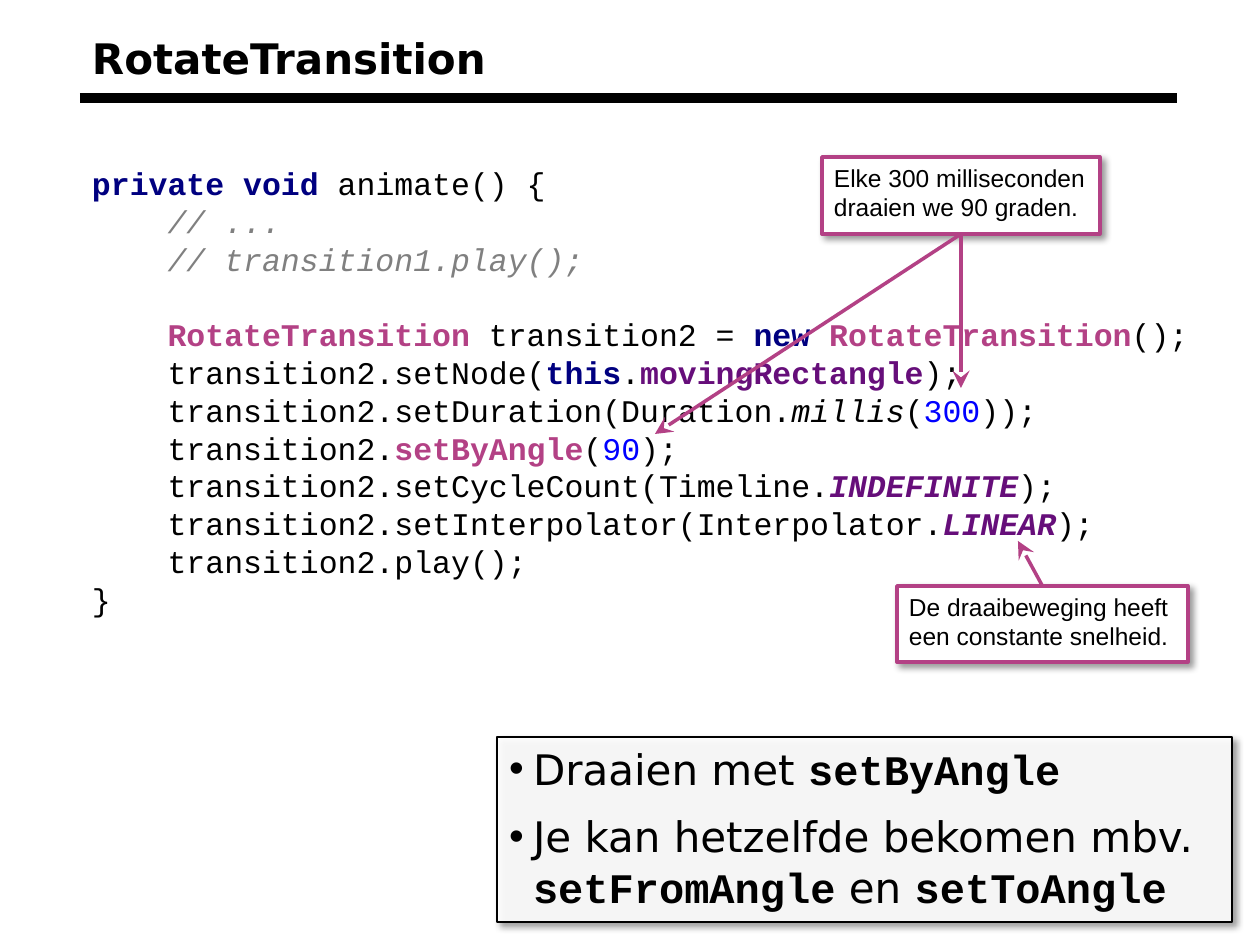
from dataclasses import dataclass

from lxml import etree
from pptx import Presentation
from pptx.dml.color import RGBColor
from pptx.enum.shapes import MSO_CONNECTOR, MSO_SHAPE
from pptx.enum.text import MSO_ANCHOR, PP_ALIGN
from pptx.oxml.ns import qn
from pptx.util import Emu, Pt

RECT, LINE = MSO_SHAPE.RECTANGLE, MSO_CONNECTOR.STRAIGHT
TOP, MIDDLE = MSO_ANCHOR.TOP, MSO_ANCHOR.MIDDLE
LEFT = PP_ALIGN.LEFT

PX = 914400 / 126
MONO, SANS, NOTE = "Courier New", "DejaVu Sans", "Arial"
BLACK, WHITE, PINK = "000000", "FFFFFF", "B34185"
NAVY, GRAY, PURPLE, BLUE = "000080", "808080", "660E7A", "0000FF"


@dataclass(frozen=True)
class Look:
    size: int
    face: str
    color: str = BLACK
    bold: bool = False
    slant: bool = False


@dataclass(frozen=True)
class Box:
    left: int
    top: int
    width: int
    height: int


@dataclass(frozen=True)
class Callout:
    box: Box
    text: str
    site: int
    tips: tuple[tuple[int, int], ...]


PLAIN = Look(18, MONO)
WORD = Look(18, MONO, NAVY, bold=True)
REM = Look(18, MONO, GRAY, slant=True)
KEY = Look(18, MONO, PINK, bold=True)
FIELD = Look(18, MONO, PURPLE, bold=True)
CONST = Look(18, MONO, PURPLE, bold=True, slant=True)
NUM = Look(18, MONO, BLUE)
CALL = Look(18, MONO, slant=True)
TITLE = Look(24, SANS, bold=True)
BODY = Look(24, SANS)
NAME = Look(24, MONO, bold=True)
SMALL = Look(14, NOTE)

CODE = [
    [("private void ", WORD), ("animate() {\n    ", PLAIN), ("// ...", REM)],
    [
        ("    ", PLAIN), ("// transition1.play();\n\n    ", REM),
        ("RotateTransition", KEY), (" transition2 = ", PLAIN), ("new ", WORD),
        ("RotateTransition", KEY), ("();\n    transition2.setNode(", PLAIN),
        ("this", WORD), (".", PLAIN), ("movingRectangle", FIELD),
        (");\n    transition2.setDuration(Duration.", PLAIN),
        ("millis", CALL), ("(", PLAIN), ("300", NUM),
        ("));\n    transition2.", PLAIN), ("setByAngle", KEY),
        ("(", PLAIN), ("90", NUM),
        (");\n    transition2.setCycleCount(Timeline.", PLAIN),
        ("INDEFINITE", CONST),
        (");\n    transition2.setInterpolator(Interpolator.", PLAIN),
        ("LINEAR", CONST), (");\n    transition2.play();\n}", PLAIN),
    ],
]
POINTS = [
    [("Draaien met ", BODY), ("setByAngle", NAME)],
    [("Je kan hetzelfde bekomen mbv. ", BODY), ("setFromAngle", NAME),
     (" en ", BODY), ("setToAngle", NAME)],
]
CALLOUTS = [
    Callout(Box(822, 157, 278, 77), "Elke 300 milliseconden draaien we 90 graden.",
            2, ((655, 434), (961, 388))),
    Callout(Box(897, 586, 291, 76), "De draaibeweging heeft een constante snelheid.",
            0, ((1018, 541),)),
]


def px(*sizes: int) -> list[Emu]:
    return [Emu(round(size * PX)) for size in sizes]


def rgb(color: str) -> RGBColor:
    return RGBColor.from_string(color)


def add(parent, tag: str, **attrs):
    return etree.SubElement(parent, qn(tag), attrs)


def add_runs(para, runs) -> None:
    """Write the runs of one paragraph, with a line break for each newline."""
    for text, look in runs:
        for i, part in enumerate(text.split("\n")):
            if i:
                para.add_line_break()
            if part:
                run = para.add_run()
                run.text = part
                font = run.font
                font.size, font.name = Pt(look.size), look.face
                font.bold, font.italic = look.bold, look.slant
                font.color.rgb = rgb(look.color)


def set_text(shape, paras, *, wrap=True, anchor=TOP, bullet=False, gap=0) -> None:
    frame = shape.text_frame
    frame.word_wrap, frame.vertical_anchor = wrap, anchor
    frame.margin_left, frame.margin_right = px(12, 12)
    frame.margin_top, frame.margin_bottom = px(6, 6)
    for i, runs in enumerate(paras):
        para = frame.add_paragraph() if i else frame.paragraphs[0]
        para.alignment = LEFT
        if i and gap:
            para.space_before = Pt(gap)
        if bullet:
            props = para._p.get_or_add_pPr()
            hang = px(24)[0]
            props.set("marL", str(hang))
            props.set("indent", str(-hang))
            add(add(props, "a:buClr"), "a:srgbClr", val=BLACK)
            add(props, "a:buFont", typeface=NOTE)
            add(props, "a:buChar", char="•")
        add_runs(para, runs)


def add_text(slide, box: Box, paras, **form) -> None:
    shape = slide.shapes.add_textbox(*px(box.left, box.top, box.width, box.height))
    set_text(shape, paras, **form)


def add_panel(slide, box: Box, edge: str, weight: float, alpha: int = 100):
    """Draw a white outlined rectangle with a soft drop shadow."""
    shape = slide.shapes.add_shape(RECT, *px(box.left, box.top, box.width, box.height))
    shape.fill.solid()
    shape.fill.fore_color.rgb = rgb(WHITE)
    shape.line.color.rgb = rgb(edge)
    shape.line.width = Pt(weight)
    shape.shadow.inherit = False
    props = shape._element.spPr
    if alpha < 100:
        fill = props.find(qn("a:solidFill"))[0]
        add(fill, "a:alpha", val=str(alpha * 1000))
    shade = add(props.find(qn("a:effectLst")), "a:outerShdw",
                blurRad=str(Pt(4)), dist=str(Pt(3)), dir=str(45 * 60000),
                algn="tl", rotWithShape="0")
    add(add(shade, "a:srgbClr", val=BLACK), "a:alpha", val="40000")
    return shape


def add_line(slide, start, end, color: str, weight: float, arrow: bool = False):
    line = slide.shapes.add_connector(LINE, *px(*start, *end))
    line.line.color.rgb = rgb(color)
    line.line.width = Pt(weight)
    if arrow:
        add(line.line._get_or_add_ln(), "a:tailEnd", type="stealth", w="lg", len="lg")
    add(line._element.spPr, "a:effectLst")
    return line


def add_callout(slide, note: Callout) -> None:
    shape = add_panel(slide, note.box, PINK, 2)
    set_text(shape, [[(note.text, SMALL)]])
    for tip in note.tips:
        start = (note.box.left, note.box.top)
        add_line(slide, start, tip, PINK, 2, arrow=True).begin_connect(shape, note.site)


def main() -> None:
    deck = Presentation()
    deck.slide_width, deck.slide_height = px(1260, 945)
    slide = deck.slides.add_slide(deck.slide_layouts[6])
    add_line(slide, (80, 98), (1177, 98), BLACK, 6)
    add_text(slide, Box(80, 18, 1097, 80), [[("RotateTransition", TITLE)]], anchor=MIDDLE)
    add_text(slide, Box(80, 158, 1124, 476), CODE, wrap=False)
    panel = add_panel(slide, Box(497, 737, 735, 185), BLACK, 1.5, alpha=90)
    set_text(panel, POINTS, bullet=True, gap=10)
    for note in CALLOUTS:
        add_callout(slide, note)
    deck.save("out.pptx")


if __name__ == "__main__":
    main()
